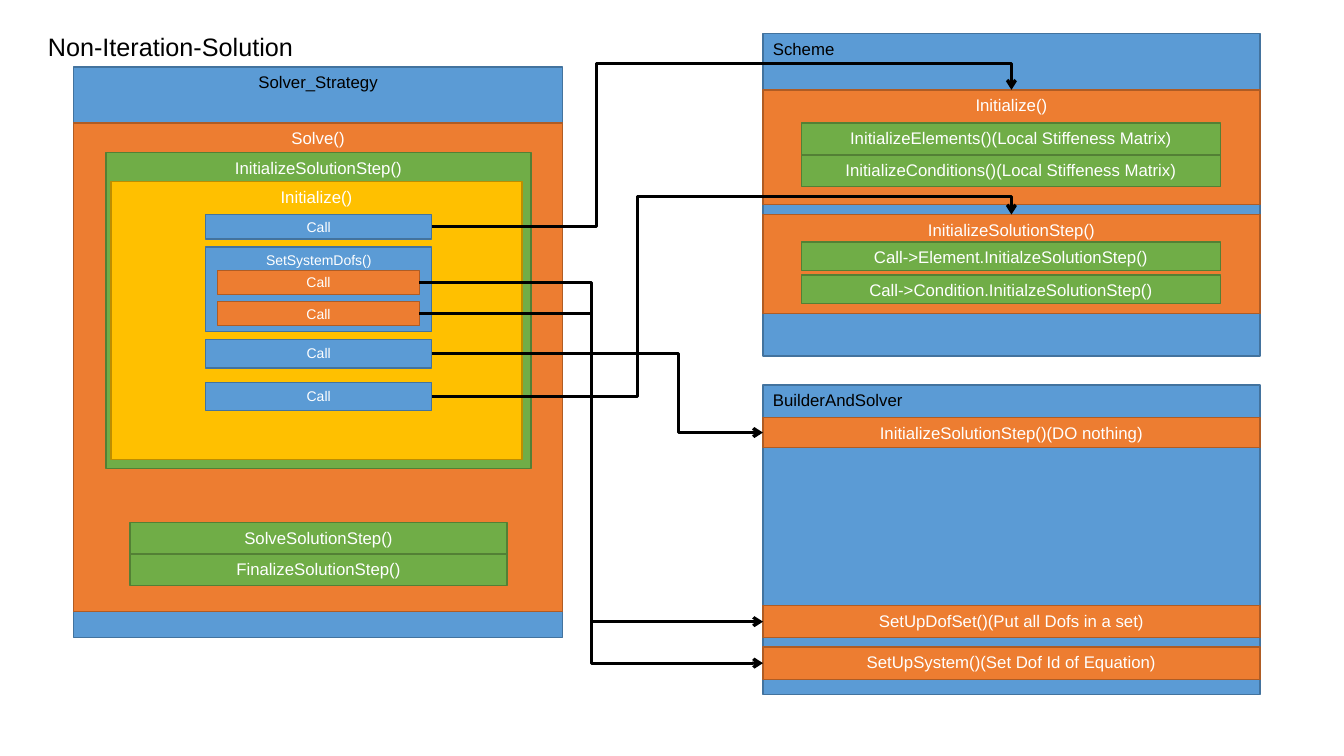
"""Build the call diagram of a non-iterative solution strategy."""
from pptx import Presentation
from pptx.dml.color import RGBColor
from pptx.enum.shapes import MSO_CONNECTOR, MSO_SHAPE
from pptx.enum.text import MSO_ANCHOR, MSO_AUTO_SIZE, PP_ALIGN
from pptx.oxml.ns import qn
from pptx.util import Pt
from lxml import etree

RECTANGLE = MSO_SHAPE.RECTANGLE
ELBOW = MSO_CONNECTOR.ELBOW
TOP, MIDDLE = MSO_ANCHOR.TOP, MSO_ANCHOR.MIDDLE
LEFT, CENTER = PP_ALIGN.LEFT, PP_ALIGN.CENTER
NO_AUTOFIT = MSO_AUTO_SIZE.NONE
TOP_SITE, LEFT_SITE, RIGHT_SITE = 0, 1, 3
TITLE_ONLY = 5

COLORS = {
    "blue": "5B9BD5", "blue_line": "43739E",
    "orange": "ED7D31", "orange_line": "AF5C24",
    "green": "70AD47", "green_line": "538035",
    "yellow": "FFC000", "yellow_line": "BD8E00",
    "black": "000000", "white": "FFFFFF",
}


class Diagram:
    """Hold the diagram style and the slide it is drawn on."""

    font = "Arial"

    def __init__(self, slide):
        self.slide = slide

    def color(self, name):
        return RGBColor.from_string(COLORS[name])

    def label(self, shape, text, size, color, align, anchor=TOP):
        frame = shape.text_frame
        frame.text = text
        frame.vertical_anchor = anchor
        paragraph = frame.paragraphs[0]
        paragraph.alignment = align
        font = paragraph.runs[0].font
        font.name, font.size = self.font, Pt(size)
        font.color.rgb = self.color(color)

    def title(self, text, left, top, width, height):
        shape = self.slide.shapes.title
        shape.left, shape.top = Pt(left), Pt(top)
        shape.width, shape.height = Pt(width), Pt(height)
        self.label(shape, text, 18, "black", LEFT)
        shape.text_frame.auto_size = NO_AUTOFIT

    def box(self, text, fill, left, top, width, height,
            size=12, color="white", align=CENTER, anchor=TOP):
        shape = self.slide.shapes.add_shape(
            RECTANGLE, Pt(left), Pt(top), Pt(width), Pt(height))
        shape.shadow.inherit = False
        shape.fill.solid()
        shape.fill.fore_color.rgb = self.color(fill)
        shape.line.color.rgb = self.color(fill + "_line")
        shape.line.width = Pt(1)
        self.label(shape, text, size, color, align, anchor)
        return shape

    def arrow(self, source, target, bend_x, bend_y=None):
        connector = self.slide.shapes.add_connector(ELBOW, 0, 0, 0, 0)
        connector.begin_connect(source, RIGHT_SITE)
        connector.end_connect(target, LEFT_SITE if bend_y is None else TOP_SITE)
        begin_x, begin_y = connector.begin_x, connector.begin_y
        ratios = [(Pt(bend_x) - begin_x) / (connector.end_x - begin_x)]
        if bend_y is not None:
            ratios.append((Pt(bend_y) - begin_y) / (connector.end_y - begin_y))
        properties = connector._element.spPr
        geometry = properties.find(qn("a:prstGeom"))
        geometry.set("prst", f"bentConnector{len(ratios) + 2}")
        guides = geometry.find(qn("a:avLst"))
        for number, ratio in enumerate(ratios, 1):
            etree.SubElement(guides, qn("a:gd"), name=f"adj{number}",
                             fmla=f"val {round(ratio * 100000)}")
        connector.line.color.rgb = self.color("black")
        connector.line.width = Pt(2.25)
        etree.SubElement(properties.find(qn("a:ln")), qn("a:tailEnd"), type="arrow")
        etree.SubElement(properties, qn("a:effectLst"))


presentation = Presentation()
presentation.slide_width, presentation.slide_height = Pt(960), Pt(540)
slide = presentation.slides.add_slide(presentation.slide_layouts[TITLE_ONLY])
diagram = Diagram(slide)
diagram.title("Non-Iteration-Solution", 27, 18.7, 218, 29)

STRATEGY = {"left": 52.6, "width": 349.2}
STEP = {"left": 92.9, "width": 269.3, "height": 22.6}
CALL = {"left": 147, "width": 161.3, "size": 10}
DOF_CALL = {"left": 155.5, "width": 144, "height": 17.3, "size": 10, "anchor": MIDDLE}
PANEL = {"left": 545, "width": 355}
DETAIL = {"left": 572.4, "width": 299.5}

diagram.box("Solver_Strategy", "blue", top=48, height=407.5, color="black", **STRATEGY)
diagram.box("Solve()", "orange", top=88, height=349, **STRATEGY)
diagram.box("InitializeSolutionStep()", "green", 75.6, 108.8, 303.8, 226)
diagram.box("Initialize()", "yellow", 79.2, 129.6, 293.8, 198.7)
for row, name in enumerate(("SolveSolutionStep()", "FinalizeSolutionStep()")):
    diagram.box(name, "green", top=373.2 + row * STEP["height"], **STEP)

scheme_call = diagram.box("Call", "blue", top=153.4, height=17.3, anchor=MIDDLE, **CALL)
diagram.box("SetSystemDofs()", "blue", top=176.4, height=60.5, **CALL)
dof_set_call, system_call = [
    diagram.box("Call", "orange", top=top, **DOF_CALL) for top in (215.3, 193.1)]
builder_call, scheme_step_call = [
    diagram.box("Call", "blue", top=top, height=20.2, **CALL) for top in (242.6, 273.2)]

diagram.box("Scheme", "blue", top=23.9, height=230.4, color="black", align=LEFT, **PANEL)
scheme_initialize = diagram.box("Initialize()", "orange", top=64.2, height=82, **PANEL)
scheme_step = diagram.box(
    "InitializeSolutionStep()", "orange", top=153.3, height=70.6, **PANEL)
for name, top, height in (
    ("InitializeElements()(Local Stiffeness Matrix)", 87.8, 23),
    ("InitializeConditions()(Local Stiffeness Matrix)", 110.8, 22.4),
    ("Call->Element.InitialzeSolutionStep()", 172.9, 20.2),
    ("Call->Condition.InitialzeSolutionStep()", 196.5, 20.2),
):
    diagram.box(name, "green", top=top, height=height, **DETAIL)

diagram.box("BuilderAndSolver", "blue", top=275, height=221, color="black",
            align=LEFT, **PANEL)
builder_step, dof_set, system = [
    diagram.box(name, "orange", top=top, height=height, **PANEL)
    for name, top, height in (
        ("InitializeSolutionStep()(DO nothing)", 298.3, 21.4),
        ("SetUpDofSet()(Put all Dofs in a set)", 432.6, 23),
        ("SetUpSystem()(Set Dof Id of Equation)", 462.2, 23),
    )]

diagram.arrow(dof_set_call, dof_set, 422.3)
diagram.arrow(system_call, system, 422.3)
diagram.arrow(scheme_call, scheme_initialize, 426.4, 45.4)
diagram.arrow(builder_call, builder_step, 484.3)
diagram.arrow(scheme_step_call, scheme_step, 455.3, 140.4)

presentation.save("out.pptx")
